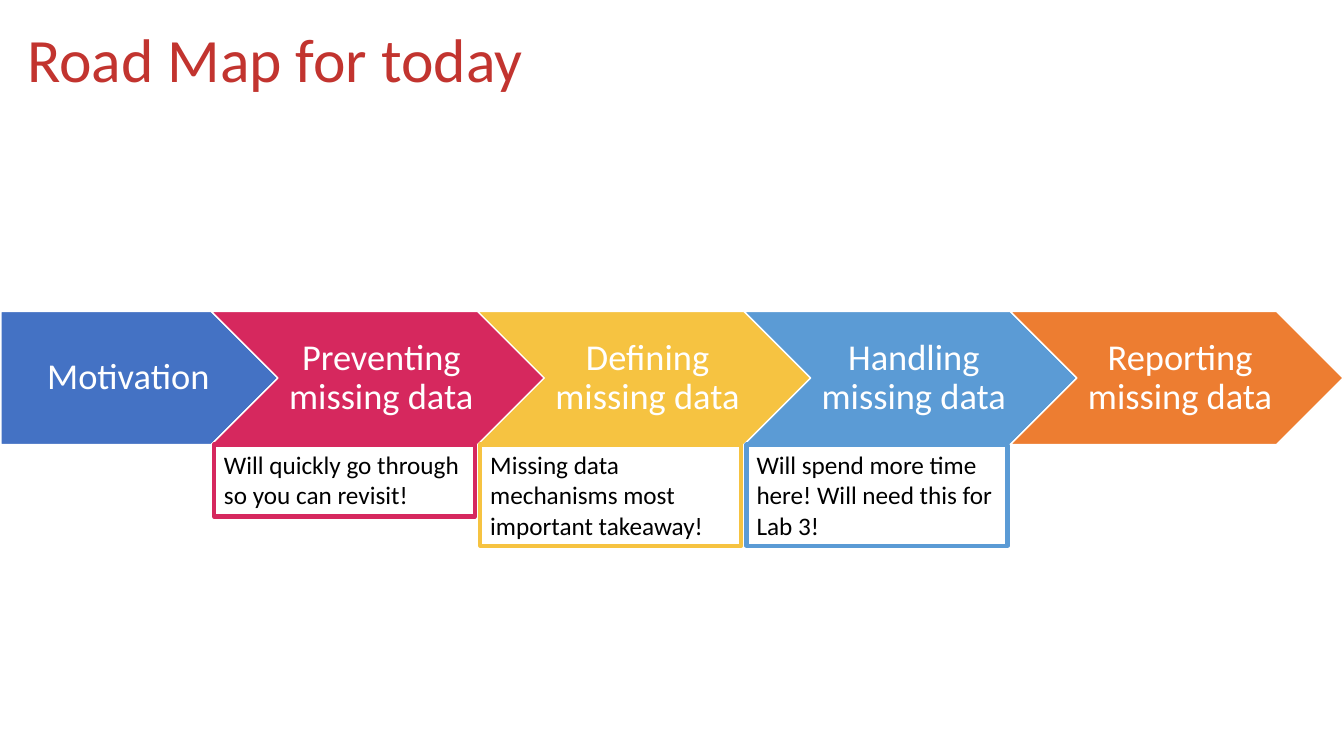
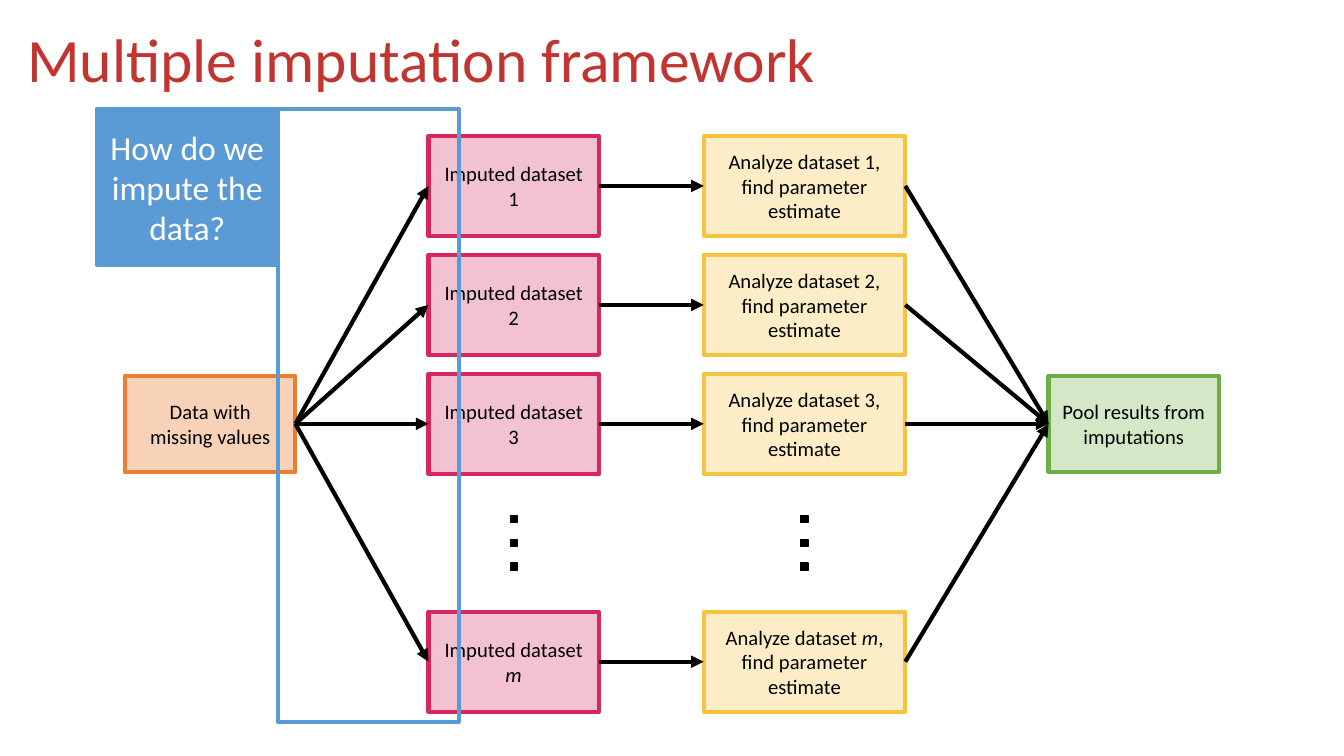
import pptx
import pptx.dml.color
import pptx.enum.shapes
import pptx.enum.text
import pptx.oxml.ns
import pptx.util
from lxml import etree

RGB = pptx.dml.color.RGBColor
KIND = pptx.enum.shapes.MSO_SHAPE
ALIGN = pptx.enum.text.PP_ALIGN
ANCHOR = pptx.enum.text.MSO_ANCHOR
qn = pptx.oxml.ns.qn

RED = RGB(0xC2, 0x34, 0x2F)
BLUE = RGB(0x44, 0x72, 0xC4)
PINK = RGB(0xD6, 0x28, 0x5E)
GOLD = RGB(0xF6, 0xC3, 0x41)
SKY = RGB(0x5B, 0x9B, 0xD5)
ORANGE = RGB(0xED, 0x7D, 0x31)
GREEN = RGB(0x70, 0xAD, 0x47)
ROSE = RGB(0xE7, 0x7E, 0x9E)
CREAM = RGB(0xFA, 0xDB, 0x8D)
PEACH = RGB(0xF4, 0xB1, 0x83)
MINT = RGB(0xA9, 0xD1, 0x8E)
BLACK = RGB(0, 0, 0)
WHITE = RGB(255, 255, 255)

FONT = "Calibri"
WIDTH, HEIGHT = 13.33, 7.5
SLIDE = (0, 0, WIDTH, HEIGHT)
PAD = (0.1, 0.05, 0.1, 0.05)

STEPS = [
    ("Motivation", BLUE, None, 0),
    ("Preventing missing data", PINK,
     "Will quickly go through so you can revisit!", 0.27),
    ("Defining missing data", GOLD,
     "Missing data mechanisms most important takeaway!", 0.38),
    ("Handling missing data", SKY,
     "Will spend more time here! Will need this for Lab 3!", 0.38),
    ("Reporting missing data", ORANGE, None, 0),
]
RUNS = [(0, "1"), (1, "2"), (2, "3"), (4, "m")]


def part(box, left, top, width, height):
    """Return the area of box given by percentages of its size."""
    x, y, w, h = box
    return (x + w * left / 100, y + h * top / 100,
            w * width / 100, h * height / 100)


def inches(box):
    return [pptx.util.Inches(v) for v in box]


def write(shape, parts, size, color=BLACK, align=ALIGN.CENTER,
          anchor=ANCHOR.MIDDLE, pad=PAD, space=None):
    """Fill the shape with one paragraph; the part "m" is set in italics."""
    frame = shape.text_frame
    frame.word_wrap = True
    frame.vertical_anchor = anchor
    (frame.margin_left, frame.margin_top,
     frame.margin_right, frame.margin_bottom) = inches(pad)
    frame.text = parts[0]
    para = frame.paragraphs[0]
    para.alignment = align
    para.line_spacing = space
    for text in parts[1:]:
        para.add_run().text = text
    for run in para.runs:
        run.font.name = FONT
        run.font.size = pptx.util.Pt(size)
        run.font.color.rgb = color
        run.font.italic = run.text == "m"


def draw(slide, box, fill, line, weight=3, kind=KIND.RECTANGLE, alpha=None):
    shape = slide.shapes.add_shape(kind, *inches(box))
    shape.shadow.inherit = False
    shape.line.color.rgb = line
    shape.line.width = pptx.util.Pt(weight)
    if fill is None:
        shape.fill.background()
    else:
        shape.fill.solid()
        shape.fill.fore_color.rgb = fill
    if alpha:
        tint = shape.element.spPr.find(qn("a:solidFill")).find(qn("a:srgbClr"))
        etree.SubElement(tint, qn("a:alpha")).set("val", str(alpha * 1000))
    return shape


def card(slide, box, fill, alpha, line, *parts):
    shape = draw(slide, box, fill, line, alpha=alpha)
    write(shape, parts, 14.7, pad=[0.13] * 4)
    return shape


def arrow(slide, start, end):
    """Join the right side of start to the left side of end."""
    link = slide.shapes.add_connector(
        pptx.enum.shapes.MSO_CONNECTOR.STRAIGHT, 0, 0, 0, 0)
    link.begin_connect(start, 3)
    link.end_connect(end, 1)
    link.line.color.rgb = BLACK
    link.line.width = pptx.util.Pt(3)
    props = link.element.spPr
    etree.SubElement(props.find(qn("a:ln")), qn("a:tailEnd")).set(
        "type", "triangle")
    etree.SubElement(props, qn("a:effectLst"))


def page(deck, title):
    slide = deck.slides.add_slide(deck.slide_layouts[6])
    box = slide.shapes.add_textbox(*inches(part(SLIDE, 1.28, 2.13, 97.5, 12.27)))
    write(box, [title], 44, RED, ALIGN.LEFT, space=0.9)
    return slide


def roadmap(slide, box):
    """Draw the chain of steps with the notes hanging under it."""
    left, top, width, _ = box
    first, wide, lap, tall = 1.04, 1.25, 0.25, 0.5
    pitch = width / (first + len(STEPS) - 1)
    for i, (name, color, note, deep) in enumerate(STEPS):
        if i == 0:
            x, span, kind, inset = left, first, KIND.PENTAGON, 0.15
        else:
            x = left + (first + i - 1 - lap) * pitch
            span, kind, inset = wide, KIND.CHEVRON, 0.11
        step = draw(slide, (x, top, span * pitch, tall * pitch),
                    color, WHITE, 1, kind)
        write(step, [name], 26, WHITE, pad=(inset, 0.08, 0.04, 0.08), space=0.9)
        if note:
            area = (x + 0.01 * pitch, top + tall * pitch,
                    0.98 * pitch, deep * pitch)
            write(draw(slide, area, None, color), [note], 18,
                  align=ALIGN.LEFT, anchor=ANCHOR.TOP)


def dots(slide, x, y, gap):
    side = 0.07
    for k in (-1, 0, 1):
        draw(slide, (x - side / 2, y + k * gap - side / 2, side, side),
             BLACK, BLACK, 0.75)


def flow(slide, box):
    """Draw source, imputed sets, analyses and pooled result on five rows."""
    columns = [(0, 15.58), (27.74, 15.58), (52.9, 18.43), (84.42, 15.58)]
    row = 20

    def cell(col, line, share):
        x, w = columns[col]
        return part(box, x, row * (line + (1 - share) / 2), w, row * share)

    data = card(slide, cell(0, 2, 0.81), PEACH, 57, ORANGE,
                "Data with missing values")
    pool = card(slide, cell(3, 2, 0.81), MINT, 49, GREEN,
                "Pool results from imputations")
    for line, mark in RUNS:
        made = card(slide, cell(1, line, 0.84), ROSE, 47, PINK,
                    "Imputed dataset ", mark)
        test = card(slide, cell(2, line, 0.84), CREAM, 49, GOLD,
                    "Analyze dataset ", mark, ", find parameter estimate")
        for start, end in ((data, made), (made, test), (test, pool)):
            arrow(slide, start, end)
    for col in (1, 2):
        x, y, w, h = cell(col, 3, 1)
        dots(slide, x + w / 2, y + h / 2, h / 5)


def callout(slide, box):
    draw(slide, part(box, 50, 0, 50, 100), None, SKY)
    label = draw(slide, part(box, 0, 0, 50, 25.5), SKY, SKY)
    write(label, ["How do we impute the data?"], 24, WHITE)


def main():
    deck = pptx.Presentation()
    deck.slide_width, deck.slide_height = inches((WIDTH, HEIGHT))
    roadmap(page(deck, "Road Map for today"),
            part(SLIDE, 0.08, 41.2, 99.85, 31))
    slide = page(deck, "Multiple imputation framework")
    flow(slide, part(SLIDE, 9.3, 16.73, 81.4, 78.67))
    callout(slide, part(SLIDE, 7.2, 14.4, 26.93, 81.07))
    deck.save("out.pptx")


if __name__ == "__main__":
    main()
